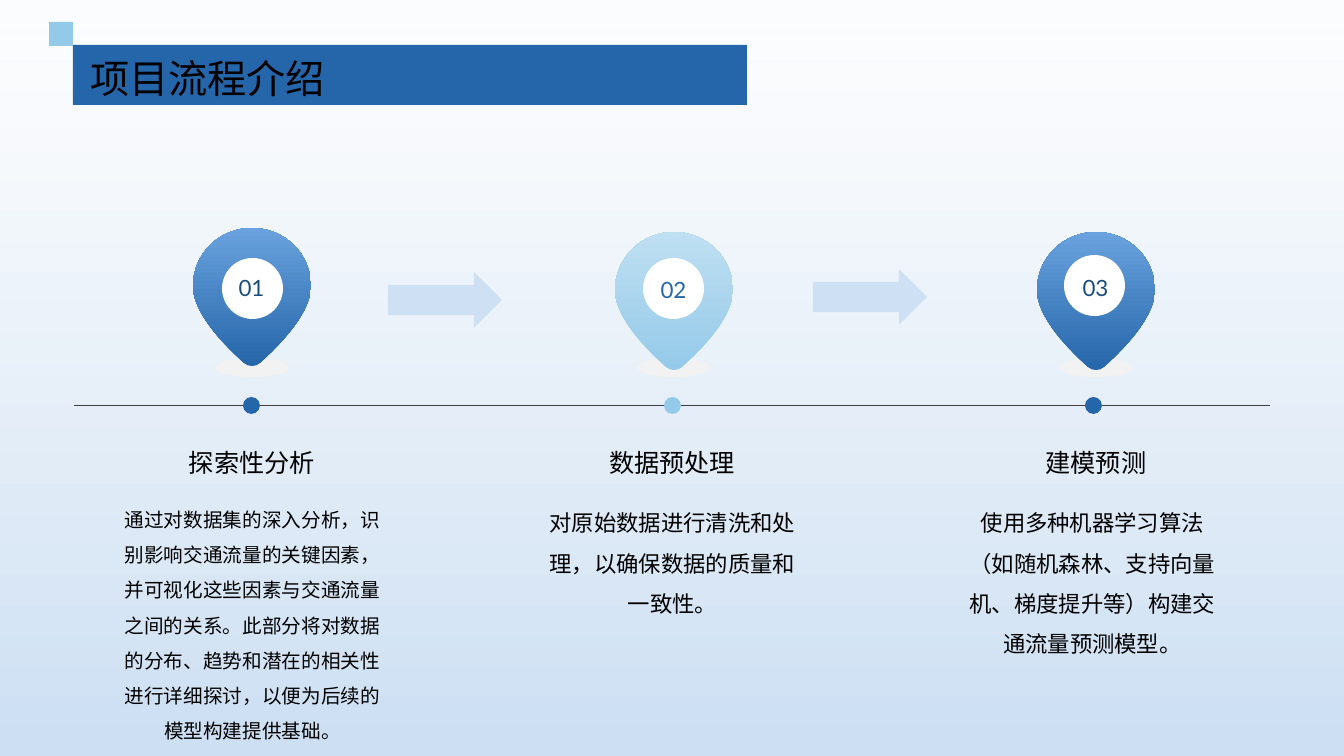
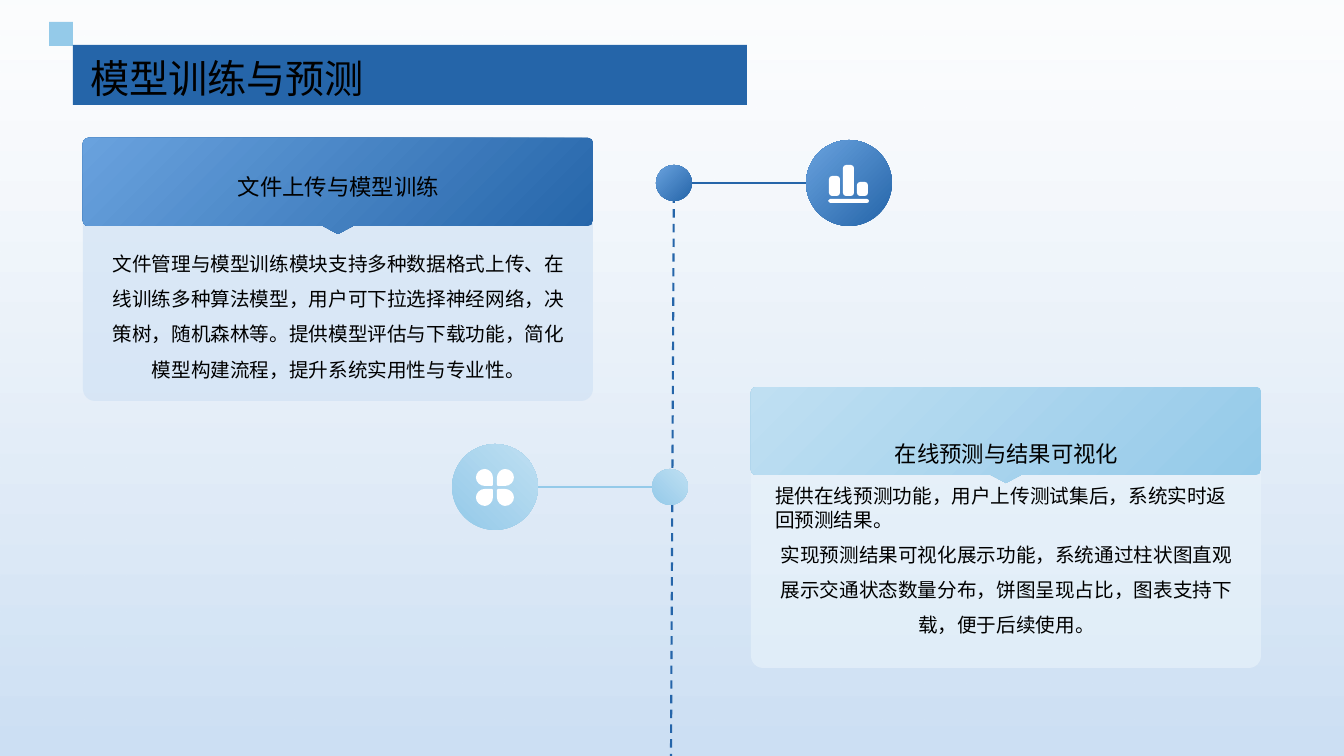
import lxml.etree
import pptx
import pptx.dml.color
import pptx.enum.dml
import pptx.enum.shapes
import pptx.enum.text
import pptx.oxml.ns
import pptx.util

RGB = pptx.dml.color.RGBColor
KIND = pptx.enum.shapes.MSO_SHAPE
STRAIGHT = pptx.enum.shapes.MSO_CONNECTOR.STRAIGHT
ALIGN = pptx.enum.text.PP_ALIGN
ANCHOR = pptx.enum.text.MSO_ANCHOR
qn = pptx.oxml.ns.qn

WIDTH, HEIGHT = 1344, 756
SCALE = 12192000 / WIDTH  # EMU in one px
FINE = 100  # outline units in one px

BLACK = RGB(0x00, 0x00, 0x00)
WHITE = RGB(0xFF, 0xFF, 0xFF)
BLUE = RGB(0x25, 0x65, 0xA9)
MID_BLUE = RGB(0x69, 0xA2, 0xDE)
NAVY = RGB(0x1C, 0x4C, 0x7F)
SKY = RGB(0x94, 0xCA, 0xE9)
LIGHT_SKY = RGB(0xBF, 0xDF, 0xF2)
PALE_BLUE = RGB(0xCD, 0xE0, 0xF4)
PALE_SKY = RGB(0xEA, 0xF4, 0xFB)
GROUND = RGB(0xF2, 0xF2, 0xF2)
DARK_GREY = RGB(0x40, 0x40, 0x40)
STRONG, SOFT = (BLUE, MID_BLUE), (SKY, LIGHT_SKY)
CJK = "Noto Sans CJK SC"


def add_text(page, frame, text, box=None, size=14, font=CJK, colour=BLACK,
             align=ALIGN.CENTER, spacing=1.5, anchor=ANCHOR.TOP):
    """Write one paragraph into a new text box, or add it to the given box."""
    lengths = [round(value * SCALE) for value in frame]
    box = box or page.shapes.add_textbox(*lengths)
    box.left, box.top, box.width, box.height = lengths
    body = box.text_frame
    body.word_wrap = True
    body.auto_size = pptx.enum.text.MSO_AUTO_SIZE.NONE
    body.vertical_anchor = anchor
    body.margin_left = body.margin_top = body.margin_right = body.margin_bottom = 0
    para = body.add_paragraph() if body.text else body.paragraphs[0]
    para.alignment, para.line_spacing = align, spacing
    span = para.add_run()
    span.text = text
    span.font.size = pptx.util.Pt(size)
    span.font.color.rgb = colour
    span.font.name = font
    properties = span.font._element
    properties.set("lang", "zh-CN")
    lxml.etree.SubElement(properties, qn("a:ea"), typeface=CJK)
    return box


def add_piece(page, kind, frame, *colours, angle=135, opacity=100):
    """Add a preset shape or an outline, in one colour or a gradient.

    An outline is a list of contours. A contour is a list of segments: a start,
    then one point for a line or three for a curve, each segment a tuple of points.
    The opacity, in percent, is that of the last colour.
    """
    lengths = [round(value * SCALE) for value in frame]
    if isinstance(kind, list):
        builder = page.shapes.build_freeform(scale=SCALE / FINE)
        for number, contour in enumerate(kind):
            points = [(x * FINE, y * FINE) for segment in contour for x, y in segment]
            if number == 0:
                builder = page.shapes.build_freeform(*points[0], scale=SCALE / FINE)
            else:
                builder.move_to(*points[0])
            builder.add_line_segments(points[1:], close=True)
        shape = builder.convert_to_shape(*lengths)
        lines = list(shape.element.spPr.iter(qn("a:lnTo")))
        for segment in (part for contour in kind for part in contour[1:]):
            first = lines.pop(0)
            if len(segment) == 3:
                first.tag = qn("a:cubicBezTo")
                for line in (lines.pop(0), lines.pop(0)):
                    first.append(line[0])
                    line.getparent().remove(line)
    else:
        shape = page.shapes.add_shape(kind, *lengths)
    shape.shadow.inherit = False
    shape.line.fill.background()
    if len(colours) == 1:
        shape.fill.solid()
        shape.fill.fore_color.rgb = colours[0]
    else:
        shape.fill.gradient()
        shape.fill.gradient_angle = angle
        for stop, colour in zip(shape.fill.gradient_stops, colours):
            stop.color.rgb = colour
    if opacity < 100:
        tint = list(shape.element.spPr.iter(qn("a:srgbClr")))[-1]
        lxml.etree.SubElement(tint, qn("a:alpha"), val=str(opacity * 1000))
    return shape


# Shared parts: background, veils, title band and title
deck = pptx.Presentation()
deck.slide_width, deck.slide_height = round(WIDTH * SCALE), round(HEIGHT * SCALE)
whole_page = (0, 0, WIDTH, HEIGHT)
background = deck.slide_master.background.fill
background.gradient()
background.gradient_angle = 90
for stop, colour, position in zip(background.gradient_stops, (WHITE, PALE_BLUE), (0.85, 1)):
    stop.color.rgb, stop.position = colour, position

pages = []
for title in ("项目流程介绍", "模型训练与预测"):
    page = deck.slides.add_slide(deck.slide_layouts[5])
    if not pages:
        veil = add_piece(page, KIND.RECTANGLE, whole_page, WHITE, WHITE, angle=90, opacity=75)
        veil.element.nvSpPr.cNvPr.set("id", "20")
        deck.slide_master.shapes.element.append(veil.element)
    add_piece(page, KIND.RECTANGLE, whole_page, PALE_BLUE, WHITE, angle=90, opacity=77)
    add_piece(page, KIND.RECTANGLE, (49, 22, 24, 24), SKY)
    add_piece(page, KIND.RECTANGLE, (73, 45, 674, 60), BLUE)
    heading = page.shapes.title
    page.shapes.element.append(heading.element)  # in front of the band
    add_text(page, (90, 50, 1179, 51), title, box=heading, size=28,
             align=ALIGN.LEFT, spacing=1.1, anchor=ANCHOR.MIDDLE)
    pages.append(page)
process_page, training_page = pages

# Connectors lie under the circles that they meet
for page, ends, colour, weight, dash in (
    (process_page, (74, 405, 1270, 405), DARK_GREY, 0.5, None),
    (training_page, (675, 183, 849, 183), BLUE, 1.5, None),
    (training_page, (674, 165, 671, 756), BLUE, 1.5, pptx.enum.dml.MSO_LINE.DASH),
    (training_page, (668, 487, 495, 487), SKY, 1.5, None),
):
    line = page.shapes.add_connector(STRAIGHT, *[round(value * SCALE) for value in ends])
    line.line.color.rgb = colour
    line.line.width = pptx.util.Pt(weight)
    line.line.dash_style = dash
    lxml.etree.SubElement(line.element.spPr, qn("a:effectLst"))

# Process page: three map pins above a time line
pin_outline = [[
    ((67, 135),),
    ((101, 104), (118, 78), (118, 58)),
    ((118, 26), (92, 0), (59, 0)),
    ((26, 0), (0, 26), (0, 58)),
    ((0, 78), (17, 104), (51, 135)),
    ((55, 139), (63, 139), (67, 135)),
]]
stages = (
    # heading, body, body size, heading left, body left, pin top, disc top, number top,
    # pin colours, number colour
    ("探索性分析",
     "通过对数据集的深入分析，识别影响交通流量的关键因素，并可视化这些因素与交通流量之间的关系。"
     "此部分将对数据的分布、趋势和潜在的相关性进行详细探讨，以便为后续的模型构建提供基础。",
     14, 112, 119, 228, 258, 270, STRONG, NAVY),
    ("数据预处理", "对原始数据进行清洗和处理，以确保数据的质量和一致性。",
     16, 532, 539, 232, 258, 272, SOFT, BLUE),
    ("建模预测", "使用多种机器学习算法（如随机森林、支持向量机、梯度提升等）构建交通流量预测模型。",
     16, 956, 959, 232, 255, 270, STRONG, NAVY),
)
for index, stage in enumerate(stages):
    (heading, body, body_size, heading_left, body_left,
     pin_top, disc_top, number_top, colours, number_colour) = stage
    pin_shift, dot_shift = 422 * index, 421 * index
    add_piece(process_page, KIND.OVAL, (215 + pin_shift, 358, 74, 19), GROUND)
    add_piece(process_page, pin_outline, (193 + pin_shift, pin_top), *colours, angle=90)
    add_piece(process_page, KIND.OVAL, (222 + dot_shift, disc_top, 61, 61), WHITE)
    add_piece(process_page, KIND.OVAL, (243 + dot_shift, 397, 17, 17), colours[0])
    add_text(process_page, (225 + pin_shift, number_top, 53, 31), f"{index + 1:02}",
             size=16, font="Lato", colour=number_colour, spacing=1.3, anchor=ANCHOR.BOTTOM)
    add_text(process_page, (heading_left, 431, 280, 47), heading,
             size=18, font="Calibri", spacing=1.3, anchor=ANCHOR.BOTTOM)
    add_text(process_page, (body_left, 496, 267, 192), body, size=body_size)

for left, top in ((388, 272), (813, 269)):
    arrow = add_piece(process_page, KIND.RIGHT_ARROW, (left, top, 114, 56), PALE_BLUE)
    arrow.adjustments[0], arrow.adjustments[1] = 0.54, 0.5

# Training page: two cards, each with a notched header
header_outline = [[
    ((5, 0),), ((505, 0),), ((508, 0), (510, 2), (510, 5)),
    ((510, 27),), ((510, 60),), ((510, 83),), ((510, 86), (508, 88), (505, 88)),
    ((270, 88),), ((255, 96),), ((240, 88),),
    ((5, 88),), ((2, 88), (0, 86), (0, 83)),
    ((0, 60),), ((0, 27),), ((0, 5),), ((0, 2), (2, 0), (5, 0)),
]]
cards = (
    # left, card top, header top, heading top, body top, body height, heading,
    # paragraphs, colours, card fill
    (83, 159, 138, 148, 240, 148, "文件上传与模型训练",
     (("文件管理与模型训练模块支持多种数据格式上传、在线训练多种算法模型，用户可下拉选择神经网络，"
       "决策树，随机森林等。提供模型评估与下载功能，简化模型构建流程，提升系统实用性与专业性。",
       ALIGN.CENTER, 1.5),),
     STRONG, PALE_BLUE),
    (751, 426, 387, 415, 484, 178, "在线预测与结果可视化",
     (("提供在线预测功能，用户上传测试集后，系统实时返回预测结果。", ALIGN.LEFT, 1.0),
      ("实现预测结果可视化展示功能，系统通过柱状图直观展示交通状态数量分布，饼图呈现占比，"
       "图表支持下载，便于后续使用。", ALIGN.CENTER, 1.5)),
     SOFT, PALE_SKY),
)
for (left, card_top, header_top, heading_top, body_top, body_height,
     heading, paragraphs, colours, card_fill) in cards:
    card = add_piece(training_page, KIND.ROUNDED_RECTANGLE,
                     (left, card_top, 510, 242), card_fill, opacity=60)
    card.adjustments[0] = 0.05
    add_piece(training_page, header_outline, (left, header_top), *colours)
    add_text(training_page, (left + 24, heading_top, 463, 70), heading,
             size=16, spacing=1.3, anchor=ANCHOR.MIDDLE)
    box = None
    for text, align, spacing in paragraphs:
        box = add_text(training_page, (left + 24, body_top, 463, body_height), text,
                       box=box, align=align, spacing=spacing)

# Nodes on the dashed line and their icon badges
for left, top, size, colours, angle in (
    (656, 165, 36, STRONG, 135), (806, 140, 86, STRONG, 135),
    (652, 469, 36, SOFT, 45), (452, 444, 86, SOFT, 45),
):
    add_piece(training_page, KIND.OVAL, (left, top, size, size), *colours, angle=angle)

bars_outline = []
for left, top, right, bottom, radius in ((0, 34, 41, 38, 2), (29, 17, 40, 31, 3),
                                         (1, 11, 12, 31, 3), (15, 0, 26, 31, 3)):
    bend = radius * 0.45
    bars_outline.append([
        ((left + radius, top),), ((right - radius, top),),
        ((right - bend, top), (right, top + bend), (right, top + radius)),
        ((right, bottom - radius),),
        ((right, bottom - bend), (right - bend, bottom), (right - radius, bottom)),
        ((left + radius, bottom),),
        ((left + bend, bottom), (left, bottom - bend), (left, bottom - radius)),
        ((left, top + radius),),
        ((left, top + bend), (left + bend, top), (left + radius, top)),
    ])
add_piece(training_page, bars_outline, (828, 165), WHITE)

PETAL = (
    ((16, 17),), ((9, 17),),
    ((4, 17), (0, 13), (0, 8.5)),
    ((0, 4), (4, 0), (9, 0)),
    ((13, 0), (17, 4), (17, 8.5)),
    ((17, 16),), ((17, 16.5), (16.5, 17), (16, 17)),
)
clover_outline = [
    [tuple((38 - x if mirror else x, 37 - y if flip else y) for x, y in segment)
     for segment in PETAL]
    for flip in (False, True) for mirror in (False, True)
]
add_piece(training_page, clover_outline, (476, 469), WHITE)

deck.save("out.pptx")
